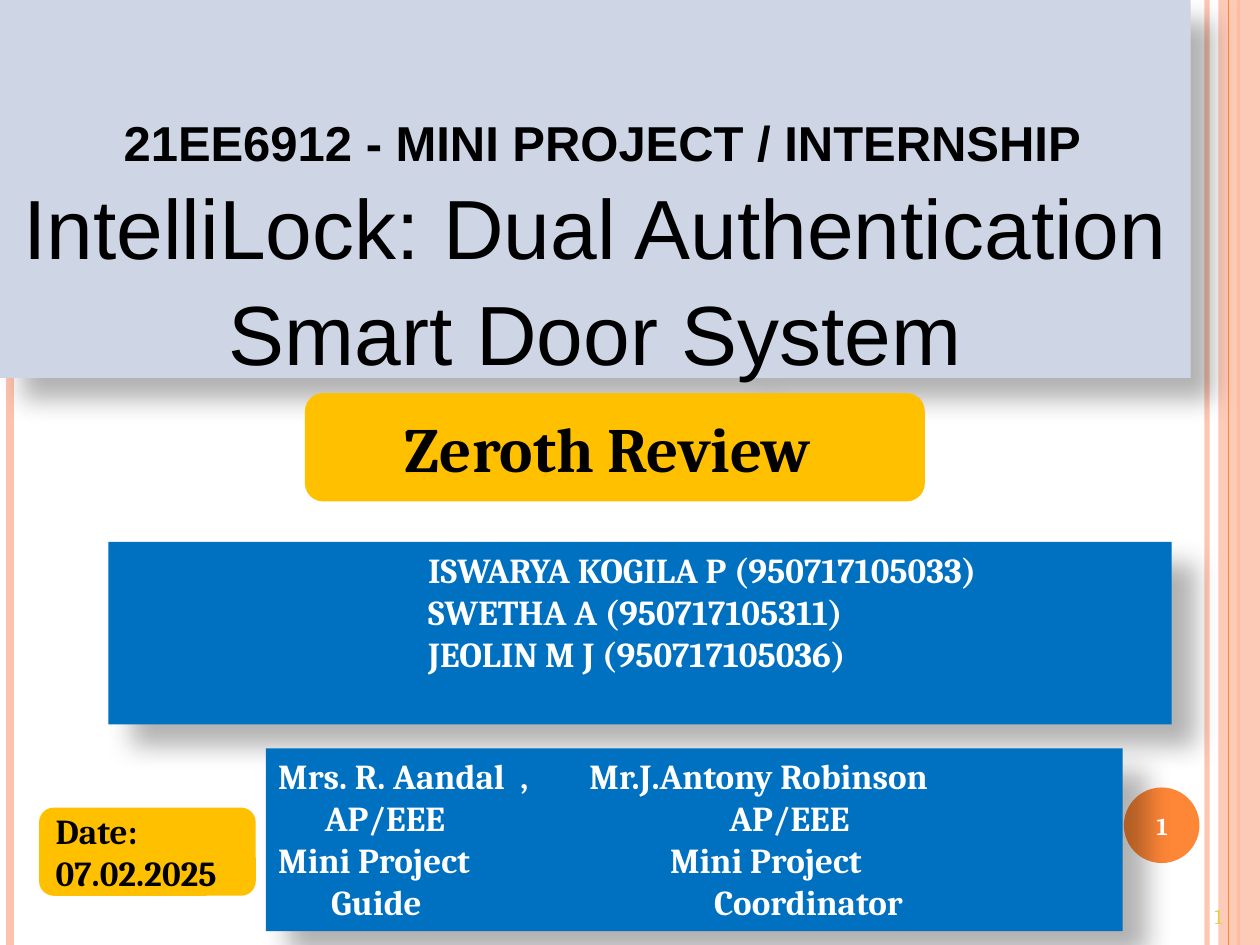
"""Build the title slide of a mini project review."""
from lxml import etree
from pptx import Presentation
from pptx.dml.color import RGBColor
from pptx.enum.shapes import MSO_CONNECTOR, MSO_SHAPE
from pptx.enum.text import MSO_ANCHOR, MSO_AUTO_SIZE, PP_ALIGN
from pptx.oxml.ns import qn
from pptx.util import Inches, Pt

LEFT, CENTER = PP_ALIGN.LEFT, PP_ALIGN.CENTER
TOP, MIDDLE, BOTTOM = MSO_ANCHOR.TOP, MSO_ANCHOR.MIDDLE, MSO_ANCHOR.BOTTOM
RECT, ROUNDED, OVAL = MSO_SHAPE.RECTANGLE, MSO_SHAPE.ROUNDED_RECTANGLE, MSO_SHAPE.OVAL
STRAIGHT = MSO_CONNECTOR.STRAIGHT
NO_AUTOFIT = MSO_AUTO_SIZE.NONE

BLACK = RGBColor(0x00, 0x00, 0x00)
WHITE = RGBColor(0xFF, 0xFF, 0xFF)
PEACH = RGBColor(0xFE, 0xC3, 0xAE)
ORANGE = RGBColor(0xFE, 0x86, 0x37)
PALE_BLUE = RGBColor(0xCE, 0xD6, 0xE6)
BLUE = RGBColor(0x00, 0x70, 0xC0)
AMBER = RGBColor(0xFF, 0xC0, 0x00)
YELLOW = RGBColor(0xE1, 0xCF, 0x50)

STRIPES = [(9.58, PEACH, 3, 93), (0.08, PEACH, 4.5, 100),
           (9.83, ORANGE, 1.5, 100), (9.75, ORANGE, 0.75, 100)]
STUDENTS = ["ISWARYA KOGILA P (950717105033)", "SWETHA A (950717105311)",
            "JEOLIN M J (950717105036)"]
STAFF = [("Mrs. R. Aandal  ,", 0, "Mr.J.Antony Robinson", 2.47),
         ("AP/EEE", 0.37, "AP/EEE", 3.21),
         ("Mini Project", 0, "Mini Project", 3.11),
         ("Guide", 0.42, "Coordinator", 3.04)]


def set_alpha(fill, percent):
    """Make a solid fill partly transparent."""
    color = fill._xPr.find(qn("a:solidFill"))[0]
    etree.SubElement(color, qn("a:alpha")).set("val", str(percent * 1000))


def add_shadow(shape):
    """Give a shape a soft shadow to the lower right."""
    shape.shadow.inherit = False
    effects = shape._element.spPr.find(qn("a:effectLst"))
    shadow = etree.SubElement(effects, qn("a:outerShdw"), blurRad=str(Pt(15)),
                              dist=str(Pt(18)), dir="2700000", algn="tl", rotWithShape="0")
    color = etree.SubElement(shadow, qn("a:srgbClr"), val="000000")
    etree.SubElement(color, qn("a:alpha"), val="30000")


def add_stripe(slide, x, color, width, opacity):
    """Draw a full-height vertical line."""
    stripe = slide.shapes.add_connector(STRAIGHT, Inches(x), 0, Inches(x), Inches(7.5))
    stripe.line.color.rgb = color
    stripe.line.width = Pt(width)
    if opacity < 100:
        set_alpha(stripe.line.fill, opacity)
    etree.SubElement(stripe._element.spPr, qn("a:effectLst"))


def add_panel(slide, kind, box, color, shadow=False):
    """Add a filled preset shape without outline."""
    panel = slide.shapes.add_shape(kind, *map(Inches, box))
    panel.fill.solid()
    panel.fill.fore_color.rgb = color
    panel.line.fill.background()
    panel.shadow.inherit = False
    if shadow:
        add_shadow(panel)
    return panel


def write(shape, text, size=20, color=WHITE, font="Cambria", bold=True, align=LEFT,
          anchor=TOP, indent=0, tab=None, spacing=None, first=True):
    """Write one formatted paragraph into a shape."""
    frame = shape.text_frame
    frame.word_wrap = True
    frame.vertical_anchor = anchor
    paragraph = frame.paragraphs[0] if first else frame.add_paragraph()
    paragraph.alignment = align
    if spacing:
        paragraph.line_spacing = spacing
    properties = paragraph._p.get_or_add_pPr()
    if indent:
        properties.set("marL", str(Inches(indent)))
    if tab:
        stops = etree.SubElement(properties, qn("a:tabLst"))
        etree.SubElement(stops, qn("a:tab"), pos=str(Inches(tab)), algn="l")
    run = paragraph.add_run()
    run.text = text
    run.font.size = Pt(size)
    run.font.name = font
    run.font.bold = bold
    run.font.color.rgb = color


def add_number(slide, box, **style):
    """Add the page number in a text box."""
    number = slide.shapes.add_textbox(*map(Inches, box))
    write(number, "1", align=CENTER, **style)


def add_title(slide):
    """Format the title placeholder as the heading panel."""
    title = slide.shapes.title
    title.left, title.top, title.width, title.height = map(Inches, (0, 0, 9.45, 3))
    title.fill.solid()
    title.fill.fore_color.rgb = PALE_BLUE
    add_shadow(title)
    title.text_frame.auto_size = NO_AUTOFIT
    title.text_frame.margin_top = Inches(0.89)
    style = dict(color=BLACK, font="Arial", align=CENTER)
    write(title, " 21EE6912 - MINI PROJECT / INTERNSHIP", size=28, **style)
    write(title, "IntelliLock: Dual Authentication Smart Door System", size=48,
          bold=False, spacing=1.05, first=False, **style)
    slide.shapes._spTree.append(title._element)


def main():
    """Build and save the slide."""
    deck = Presentation()
    deck.slide_width, deck.slide_height = Inches(10), Inches(7.5)
    slide = deck.slides.add_slide(deck.slide_layouts[5])

    for stripe in STRIPES[:3]:
        add_stripe(slide, *stripe)
    band = add_panel(slide, RECT, (9.67, 0, 0.33, 7.5), PEACH)
    set_alpha(band.fill, 87)
    add_stripe(slide, *STRIPES[3])
    add_panel(slide, OVAL, (8.92, 6.25, 0.6, 0.6), ORANGE)
    add_number(slide, (9.42, 6.9, 0.5, 0.52), size=12, color=YELLOW, bold=False,
               anchor=BOTTOM)

    add_title(slide)

    students = add_panel(slide, RECT, (0.86, 4.3, 8.44, 1.45), BLUE, shadow=True)
    for row, student in enumerate(STUDENTS):
        write(students, student, indent=2.44, first=row == 0)

    staff = add_panel(slide, RECT, (2.11, 5.94, 6.8, 1.45), BLUE, shadow=True)
    for row, (guide, indent, coordinator, tab) in enumerate(STAFF):
        write(staff, f"{guide}\t{coordinator}", indent=indent, tab=tab, first=row == 0)

    review = add_panel(slide, ROUNDED, (2.42, 3.12, 4.92, 0.86), AMBER)
    write(review, "Zeroth Review ", size=36, color=BLACK, align=CENTER, anchor=MIDDLE)
    date = add_panel(slide, ROUNDED, (0.31, 6.41, 1.72, 0.7), AMBER)
    write(date, "Date: 07.02.2025", color=BLACK, anchor=MIDDLE)

    add_number(slide, (8.89, 6.27, 0.67, 0.57), size=14, anchor=MIDDLE)
    deck.save("out.pptx")


if __name__ == "__main__":
    main()
